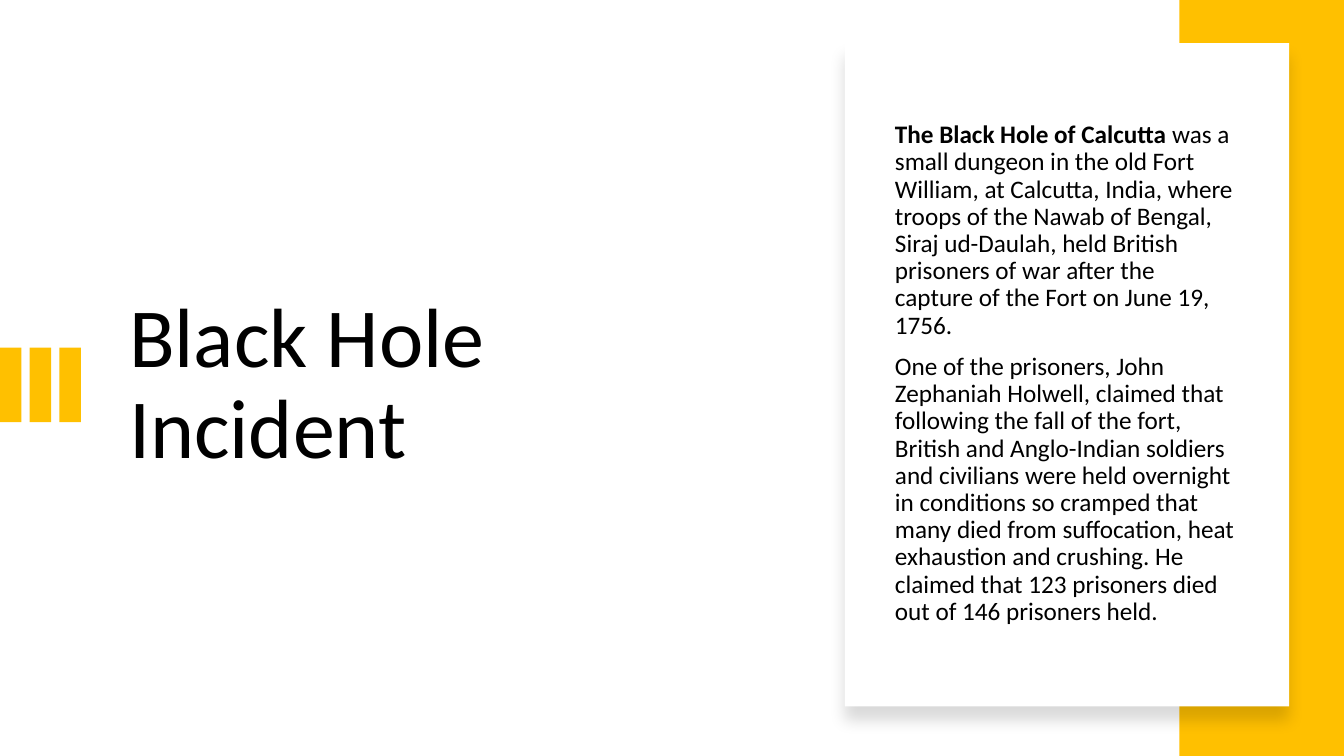
"""Builds the slide on the Black Hole incident."""
import lxml.etree
import pptx
import pptx.dml.color
import pptx.enum.shapes
import pptx.enum.text
import pptx.oxml.ns
import pptx.util

Cm = pptx.util.Cm
Pt = pptx.util.Pt
RGBColor = pptx.dml.color.RGBColor

BLACK = RGBColor(0, 0, 0)
WHITE = RGBColor(255, 255, 255)
AMBER = RGBColor(255, 192, 0)

STORY = [
    [
        ("The Black Hole of Calcutta", True),
        (" was a small dungeon in the old Fort William, at Calcutta, India, "
         "where troops of the Nawab of Bengal, Siraj ud-Daulah, held "
         "British prisoners of war after the capture of the Fort "
         "on June 19, 1756.", False),
    ],
    [
        ("One of the prisoners, John Zephaniah Holwell, claimed that following "
         "the fall of the fort, British and Anglo-Indian soldiers and civilians "
         "were held overnight in conditions so cramped that many died from "
         "suffocation, heat exhaustion and crushing. He claimed that 123 "
         "prisoners died out of 146 prisoners held.", False),
    ],
]


class SlidePainter:
    """Holds the text style and the current slide."""

    font_name = "Calibri"
    text_color = BLACK
    line_spacing = 0.9

    def __init__(self, page):
        self.page = page

    def rectangle(self, shapes, left, top, width, height, color):
        """Adds a plain filled rectangle, measured in centimetres."""
        shape = shapes.add_shape(
            pptx.enum.shapes.MSO_SHAPE.RECTANGLE,
            Cm(left), Cm(top), Cm(width), Cm(height))
        shape.shadow.inherit = False
        shape.fill.solid()
        shape.fill.fore_color.rgb = color
        shape.line.fill.background()
        return shape

    def bars(self, count, top, width, height, pitch):
        """Adds a group of equally spaced bars from the left edge."""
        group = self.page.shapes.add_group_shape()
        for index in range(count):
            self.rectangle(group.shapes, index * pitch, top, width, height, AMBER)

    def card(self, left, top, width, height):
        """Adds a white card with a soft shadow below it."""
        shape = self.rectangle(self.page.shapes, left, top, width, height, WHITE)
        qualified = pptx.oxml.ns.qn
        effects = shape.element.spPr.find(qualified("a:effectLst"))
        shadow = lxml.etree.SubElement(
            effects, qualified("a:outerShdw"), blurRad=str(Pt(11)),
            dist=str(Pt(10)), dir="5400000", algn="t", rotWithShape="0")
        color = lxml.etree.SubElement(shadow, qualified("a:srgbClr"), val=str(BLACK))
        lxml.etree.SubElement(color, qualified("a:alpha"), val="15000")

    def text(self, box, left, top, width, height, size, paragraphs):
        """Moves a placeholder to the front and fills it run by run."""
        self.page.shapes.element.append(box.element)
        box.left, box.top, box.width, box.height = map(Cm, (left, top, width, height))
        frame = box.text_frame
        frame.word_wrap = True
        frame.auto_size = pptx.enum.text.MSO_AUTO_SIZE.NONE
        frame.vertical_anchor = pptx.enum.text.MSO_ANCHOR.MIDDLE
        for index, spans in enumerate(paragraphs):
            para = frame.add_paragraph() if index else frame.paragraphs[0]
            para.alignment = pptx.enum.text.PP_ALIGN.LEFT
            para.line_spacing = self.line_spacing
            para.space_before = Pt(10 if index else 0)
            for words, bold in spans:
                span = para.add_run()
                span.text = words
                span.font.name = self.font_name
                span.font.size = Pt(size)
                span.font.bold = bold
                span.font.color.rgb = self.text_color


def main():
    """Builds and saves the deck."""
    deck = pptx.Presentation()
    deck.slide_width, deck.slide_height = Cm(33.87), Cm(19.05)
    page = deck.slides.add_slide(deck.slide_layouts[0])
    painter = SlidePainter(page)
    title, body = page.placeholders
    painter.text(title, 3, 3.18, 16.75, 13.08, 60, [[("Black Hole Incident", False)]])
    painter.bars(count=3, top=8.76, width=0.54, height=1.88, pitch=0.75)
    painter.rectangle(page.shapes, 29.72, 0, 4.15, 19.05, AMBER)
    painter.card(21.29, 1.09, 11.2, 16.71)
    painter.text(body, 22.3, 1.9, 9.17, 15.04, 18, STORY)
    deck.save("out.pptx")


if __name__ == "__main__":
    main()
